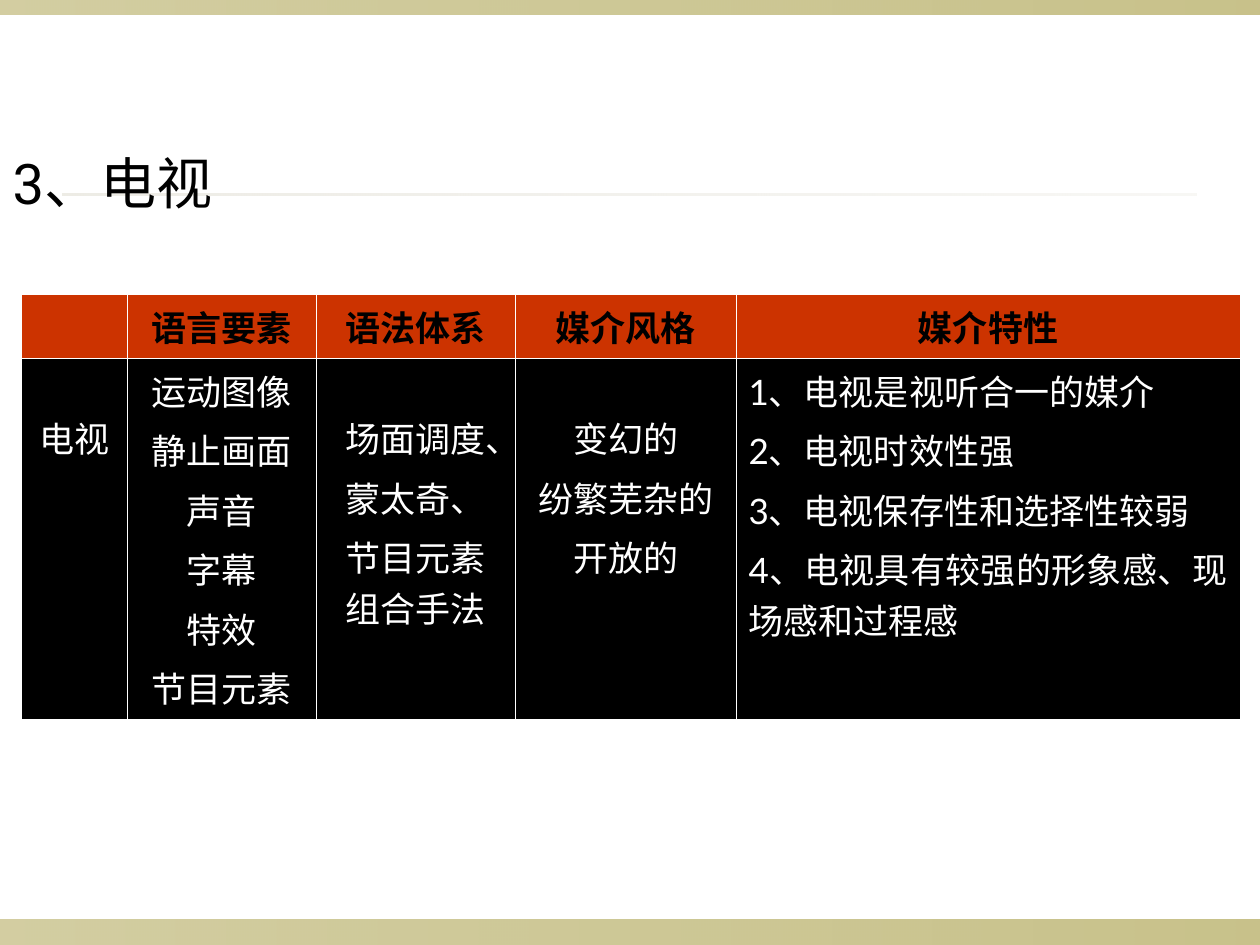
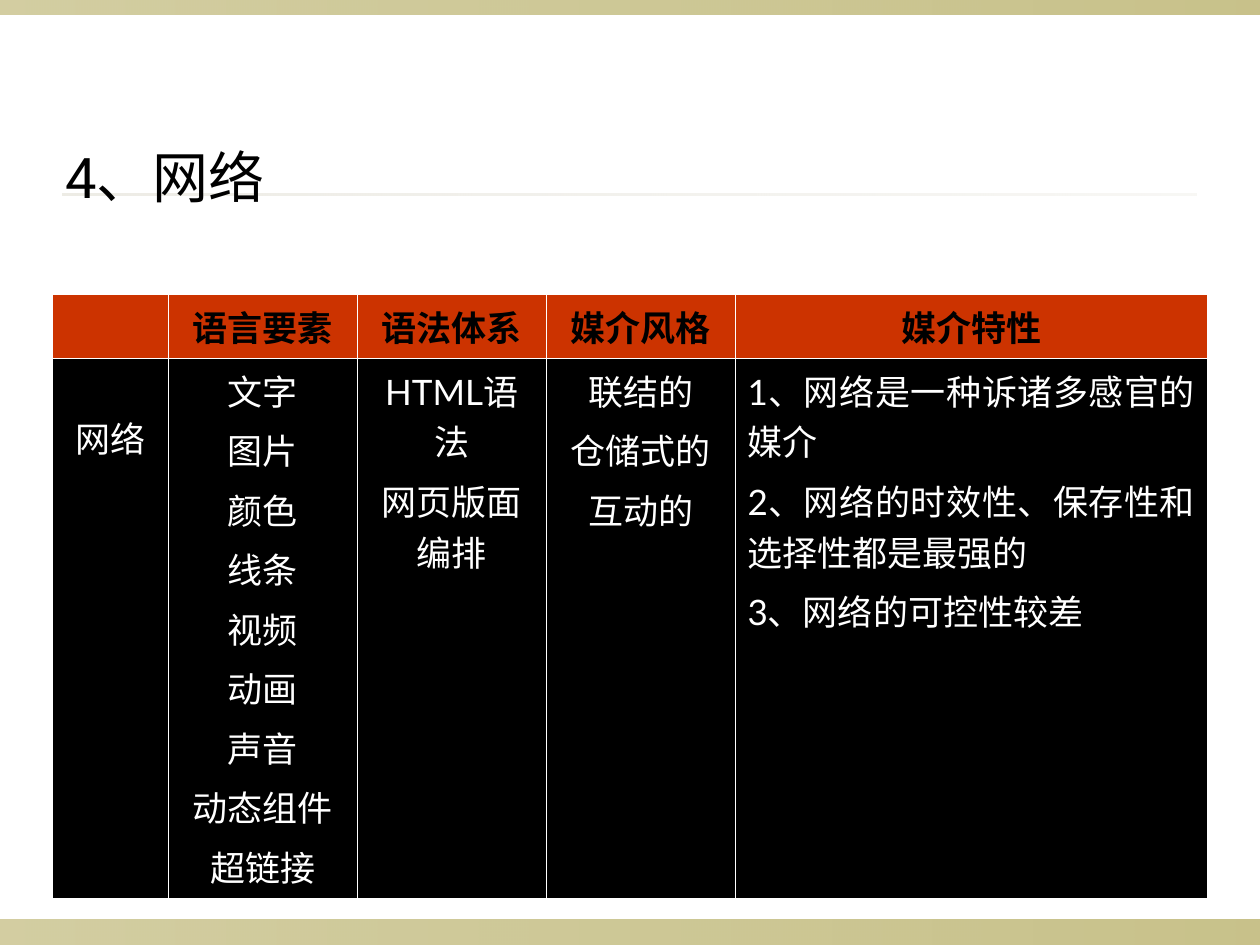
from dataclasses import dataclass

import pptx
import pptx.dml.color
import pptx.enum.shapes
import pptx.enum.text
import pptx.oxml
import pptx.oxml.ns
import pptx.util
from pptx.util import Cm

RGBColor = pptx.dml.color.RGBColor
ALIGN = pptx.enum.text.PP_ALIGN
ANCHOR = pptx.enum.text.MSO_ANCHOR

OLIVE = RGBColor(0x91, 0x84, 0x15)
STONE = RGBColor(0xDC, 0xD9, 0xCC)
RED = RGBColor(0xCC, 0x33, 0x00)
BLACK = RGBColor(0x00, 0x00, 0x00)
WHITE = RGBColor(0xFF, 0xFF, 0xFF)

TITLE_FONT = {"name": "Roboto", "size": pptx.util.Pt(32), "bold": False}
HEAD_FONT = {"name": "Lato", "size": pptx.util.Pt(20), "bold": True}
BODY_FONT = HEAD_FONT | {"bold": False}

HEADINGS = ["", "语言要素", "语法体系", "媒介风格", "媒介特性"]
HEAD_HEIGHT = Cm(1.22)
TABLE_TOP = Cm(5.93)
CELL_TOP = Cm(0.13)
LOWERED_TOP = Cm(1.09)  # for cells whose text starts one line lower


@dataclass
class Band:
    left: Cm
    top: Cm
    width: Cm
    height: Cm
    color: RGBColor
    opacities: tuple[int, int]  # percent at the left and right ends


@dataclass
class Column:
    width: Cm
    lines: list[str]
    lowered: bool = False
    align: ALIGN = ALIGN.CENTER


@dataclass
class MediaSlide:
    title: str
    title_left: Cm
    title_top: Cm
    table_left: Cm
    body_height: Cm
    columns: list[Column]


BANDS = [
    Band(Cm(0), Cm(18.54), Cm(25.4), Cm(0.51), OLIVE, (40, 50)),
    Band(Cm(0), Cm(0), Cm(25.4), Cm(0.3), OLIVE, (40, 50)),
    Band(Cm(1.27), Cm(3.9), Cm(22.86), Cm(0.05), STONE, (50, 20)),
]

SLIDES = [
    MediaSlide("3、电视", Cm(0), Cm(2.41), Cm(0.44), Cm(6.22), [
        Column(Cm(2.12), ["电视"], lowered=True),
        Column(Cm(3.81), ["运动图像", "静止画面", "声音", "字幕", "特效", "节目元素"]),
        Column(Cm(4.02), ["场面调度、", "蒙太奇、", "节目元素组合手法"], lowered=True),
        Column(Cm(4.45), ["变幻的", "纷繁芜杂的", "开放的"], lowered=True),
        Column(Cm(10.16), [
            "1、电视是视听合一的媒介",
            "2、电视时效性强",
            "3、电视保存性和选择性较弱",
            "4、电视具有较强的形象感、现场感和过程感",
        ], align=ALIGN.JUSTIFY),
    ]),
    MediaSlide("4、网络", Cm(1.06), Cm(2.28), Cm(1.06), Cm(9.3), [
        Column(Cm(2.33), ["网络"], lowered=True),
        Column(Cm(3.81), ["文字", "图片", "颜色", "线条", "视频", "动画", "声音",
                          "动态组件", "超链接"]),
        Column(Cm(3.81), ["HTML语法", "网页版面编排"]),
        Column(Cm(3.81), ["联结的", "仓储式的", "互动的"]),
        Column(Cm(9.52), [
            "1、网络是一种诉诸多感官的媒介",
            "2、网络的时效性、保存性和选择性都是最强的",
            "3、网络的可控性较差",
        ], align=ALIGN.JUSTIFY),
    ]),
]


def write_lines(tf, lines: list[str], font: dict, color: RGBColor, align: ALIGN) -> None:
    for i, line in enumerate(lines):
        p = tf.paragraphs[0] if i == 0 else tf.add_paragraph()
        p.alignment = align
        p.space_before = pptx.util.Pt(5 if i else 0)
        r = p.add_run()
        r.text = line
        for key, value in font.items():
            setattr(r.font, key, value)
        r.font.color.rgb = color


def add_band(s, master, band: Band, index: int) -> None:
    """Draw a gradient band and move it to the back of the slide master."""
    sp = s.shapes.add_shape(pptx.enum.shapes.MSO_SHAPE.RECTANGLE,
                            band.left, band.top, band.width, band.height)
    sp.shadow.inherit = False
    sp.line.fill.background()
    sp.fill.gradient()
    sp.fill.gradient_angle = 0
    for stop, opacity in zip(sp.fill.gradient_stops, band.opacities):
        stop.color.rgb = band.color
    colors = sp.element.spPr.iter(pptx.oxml.ns.qn("a:srgbClr"))
    for clr, opacity in zip(list(colors), band.opacities):
        alpha = pptx.oxml.parse_xml(
            f'<a:alpha {pptx.oxml.ns.nsdecls("a")} val="{opacity * 1000}"/>')
        clr.append(alpha)
    sp.element.nvSpPr.cNvPr.set("id", str(100 + index))
    sp.name = f"Band {index + 1}"
    master.element.cSld.spTree.insert(2 + index, sp.element)


def format_cell(cell, fill: RGBColor, top: Cm) -> None:
    tcPr = cell._tc.get_or_add_tcPr()
    for side in ("lnL", "lnR", "lnT", "lnB"):
        tcPr.append(pptx.oxml.parse_xml(
            f'<a:{side} {pptx.oxml.ns.nsdecls("a")} w="5715"><a:solidFill>'
            f'<a:srgbClr val="{WHITE}"/></a:solidFill></a:{side}>'))
    cell.fill.solid()
    cell.fill.fore_color.rgb = fill
    margins = {"margin_left": Cm(0.25), "margin_right": Cm(0.25),
               "margin_top": top, "margin_bottom": CELL_TOP,
               "vertical_anchor": ANCHOR.TOP}
    for key, value in margins.items():
        setattr(cell, key, value)


def add_media_table(s, media: MediaSlide) -> None:
    width = sum(c.width for c in media.columns)
    table = s.shapes.add_table(2, len(media.columns), media.table_left, TABLE_TOP,
                               width, HEAD_HEIGHT + media.body_height).table
    table.first_row = table.horz_banding = False
    table.rows[0].height = HEAD_HEIGHT
    table.rows[1].height = media.body_height
    for i, (heading, column) in enumerate(zip(HEADINGS, media.columns)):
        table.columns[i].width = column.width
        head, body = table.cell(0, i), table.cell(1, i)
        format_cell(head, RED, CELL_TOP)
        if heading:
            write_lines(head.text_frame, [heading], HEAD_FONT, BLACK, ALIGN.CENTER)
        format_cell(body, BLACK, LOWERED_TOP if column.lowered else CELL_TOP)
        write_lines(body.text_frame, column.lines, BODY_FONT, WHITE, column.align)


def add_title(s, media: MediaSlide) -> None:
    title = s.shapes.title
    place = {"left": media.title_left, "top": media.title_top,
             "width": Cm(23.5), "height": Cm(2.54)}
    for key, value in place.items():
        setattr(title, key, value)
    title.text_frame.vertical_anchor = ANCHOR.MIDDLE
    write_lines(title.text_frame, [media.title], TITLE_FONT, BLACK, ALIGN.LEFT)


def main() -> None:
    prs = pptx.Presentation()
    prs.slide_width, prs.slide_height = Cm(25.4), Cm(19.05)
    for media in SLIDES:
        s = prs.slides.add_slide(prs.slide_layouts[5])
        add_title(s, media)
        add_media_table(s, media)
    # Shared bands
    for i, band in enumerate(BANDS):
        add_band(prs.slides[0], prs.slide_master, band, i)
    prs.save("out.pptx")


if __name__ == "__main__":
    main()
